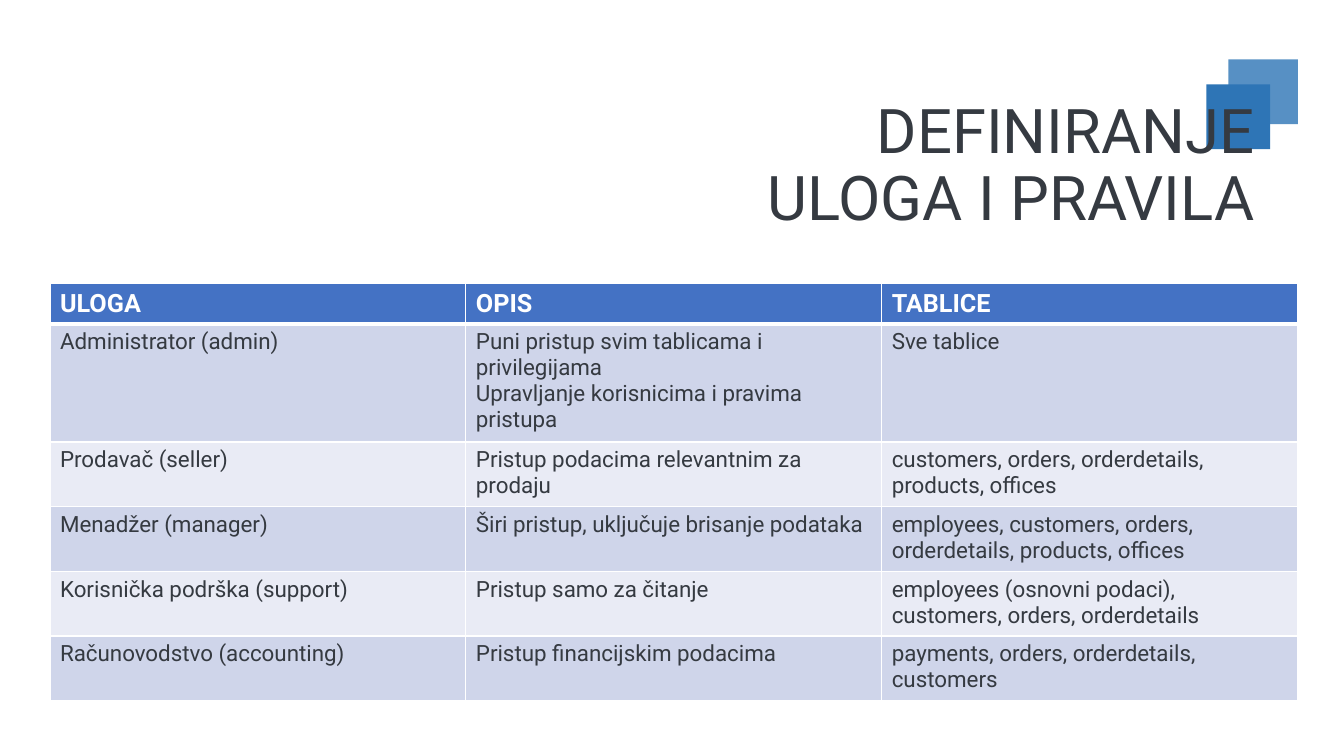
"""Slide with a table of database roles, their rights and their tables."""
from lxml import etree
from pptx import Presentation
from pptx import util as u
from pptx.dml.color import RGBColor
from pptx.enum import shapes, text
from pptx.oxml.ns import qn

HUES = {"blue": "2E75B6", "head": "4472C4", "odd": "CFD5EA",
        "even": "E9EBF5", "ink": "353A41", "white": "FFFFFF"}
ROWS = [
    ("ULOGA", "OPIS", "TABLICE"),
    ("Administrator (admin)",
     "Puni pristup svim tablicama i privilegijama\n"
     "Upravljanje korisnicima i pravima pristupa",
     "Sve tablice"),
    ("Prodavač (seller)", "Pristup podacima relevantnim za prodaju",
     "customers, orders, orderdetails, products, offices"),
    ("Menadžer (manager)", "Širi pristup, uključuje brisanje podataka",
     "employees, customers, orders, orderdetails, products, offices"),
    ("Korisnička podrška (support)", "Pristup samo za čitanje",
     "employees (osnovni podaci), customers, orders, orderdetails"),
    ("Računovodstvo (accounting)", "Pristup financijskim podacima",
     "payments, orders, orderdetails, customers"),
]
HEIGHTS = [0.97, 2.97, 1.63, 1.63, 1.63, 1.63]


def style(para, size, hue, bold=False):
    for run in para.runs:
        run.font.name = "Roboto"
        run.font.size = u.Pt(size)
        run.font.bold = bold
        run.font.color.rgb = RGBColor.from_string(HUES[hue])


def edge(cell, side, width):
    line = etree.SubElement(cell._tc.get_or_add_tcPr(), qn("a:ln" + side),
                            w=str(u.Pt(width)))
    fill = etree.SubElement(line, qn("a:solidFill"))
    etree.SubElement(fill, qn("a:srgbClr"), val=HUES["white"])


deck = Presentation()
deck.slide_width, deck.slide_height = u.Cm(33.87), u.Cm(19.05)
slide = deck.slides.add_slide(deck.slide_layouts[6])

for left, top, width, alpha in [(30.4, 2.13, 1.61, 100), (30.96, 1.5, 1.75, 80)]:
    square = slide.shapes.add_shape(shapes.MSO_SHAPE.RECTANGLE, u.Cm(left),
                                    u.Cm(top), u.Cm(width), u.Cm(1.63))
    square.shadow.inherit = False
    square.line.fill.background()
    square.fill.solid()
    square.fill.fore_color.rgb = RGBColor.from_string(HUES["blue"])
    if alpha < 100:
        hue = square._element.spPr.find(".//" + qn("a:srgbClr"))
        etree.SubElement(hue, qn("a:alpha"), val=str(alpha * 1000))

title = slide.shapes.add_textbox(u.Cm(18.44), u.Cm(2.39), u.Cm(13.44), u.Cm(3.63))
frame = title.text_frame
frame.word_wrap = True
frame.auto_size = text.MSO_AUTO_SIZE.SHAPE_TO_FIT_TEXT
frame.vertical_anchor = text.MSO_ANCHOR.MIDDLE
frame.text = "DEFINIRANJE ULOGA I PRAVILA"
para = frame.paragraphs[0]
para.alignment = text.PP_ALIGN.RIGHT
para.line_spacing = 0.9
style(para, 44, "ink")

table = slide.shapes.add_table(len(ROWS), 3, u.Cm(1.26), u.Cm(7.15),
                               u.Cm(31.44), u.Cm(sum(HEIGHTS))).table
for col in table.columns:
    col.width = u.Cm(10.48)
for i, (row, height) in enumerate(zip(ROWS, HEIGHTS)):
    table.rows[i].height = u.Cm(height)
    band = "head" if i == 0 else "odd" if i % 2 else "even"
    for j, words in enumerate(row):
        cell = table.cell(i, j)
        for side in "LRTB":
            thick = (i == 0 and side == "B") or (i == 1 and side == "T")
            edge(cell, side, 3 if thick else 1)
        cell.fill.solid()
        cell.fill.fore_color.rgb = RGBColor.from_string(HUES[band])
        cell.text_frame.text = words
        for para in cell.text_frame.paragraphs:
            if i == 0:
                style(para, 18, "white", True)
            else:
                style(para, 16, "ink")

deck.save("out.pptx")
